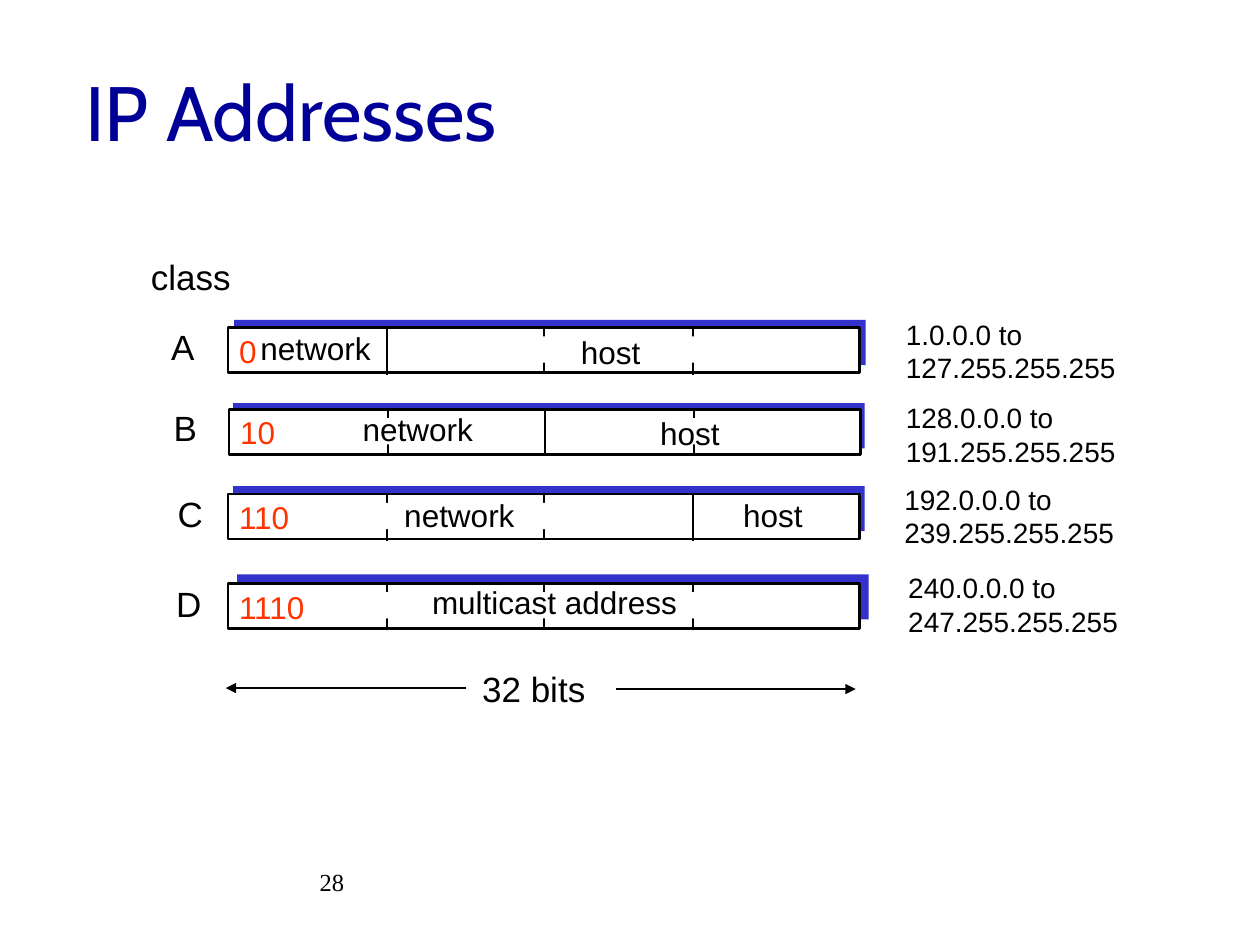
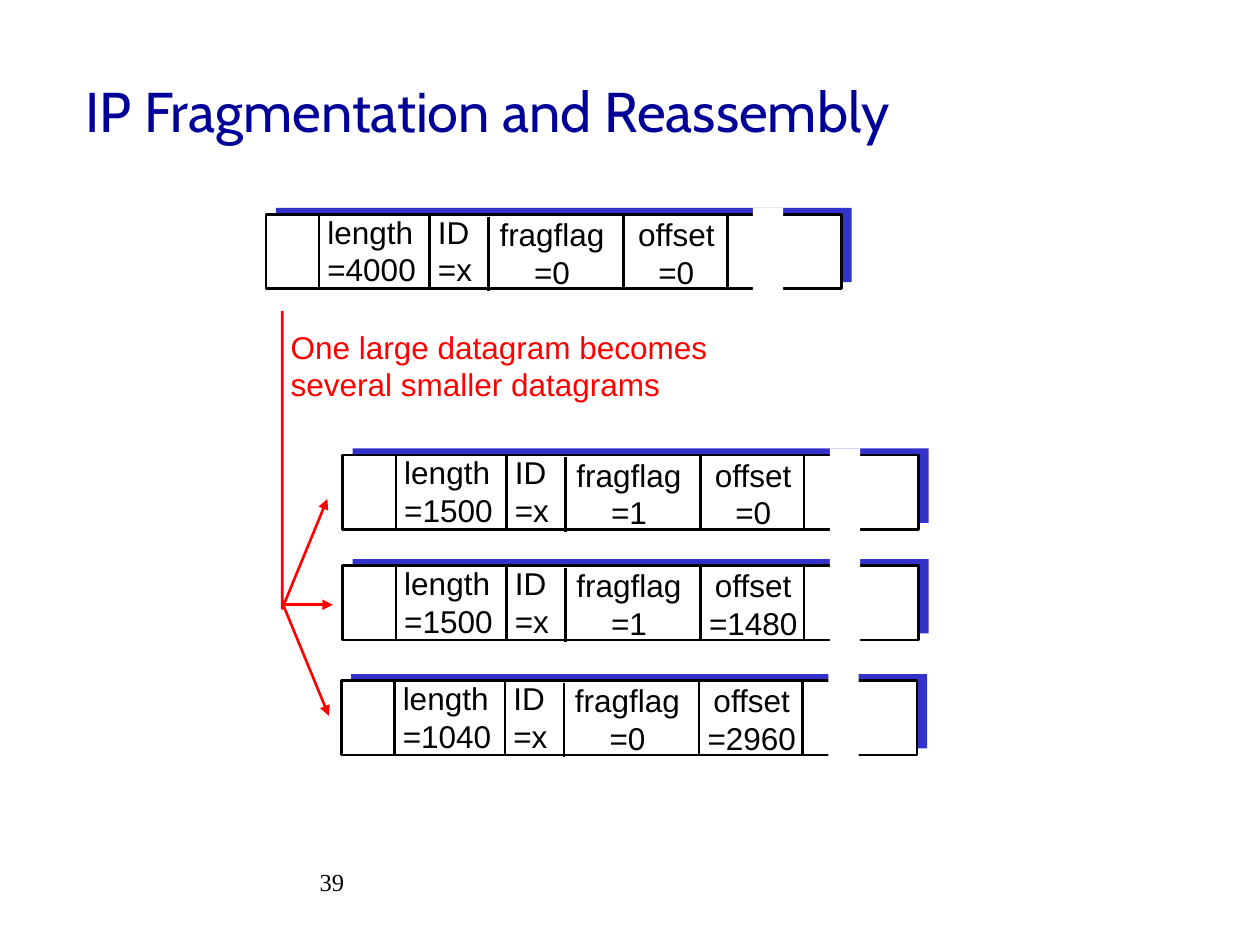
"""Build two slides on IP address classes and IP fragmentation."""
from lxml.etree import SubElement as Sub
from pptx import Presentation as Deck
from pptx.dml.color import RGBColor as Rgb
from pptx.enum.shapes import MSO_CONNECTOR as Link, MSO_SHAPE as Form
from pptx.enum.text import MSO_ANCHOR as Anchor, MSO_AUTO_SIZE as Fit, PP_ALIGN as Align
from pptx.oxml.ns import qn
from pptx.util import Cm, Pt

HUES = {"ink": "000000", "paper": "FFFFFF", "shade": "3333CC",
        "title": "000099", "bits": "FF3300", "split": "FF0000"}
TINT = {name: Rgb.from_string(code) for name, code in HUES.items()}


def box(page, at, fill=None, edge=None, rows=(), size=18, hue="ink",
        font="Arial", align=Align.LEFT, wrap=False, anchor=Anchor.TOP):
    """Draw a filled rectangle, or a text box when there is no fill."""
    place = [Cm(n) for n in at]
    if fill:
        rect = page.shapes.add_shape(Form.RECTANGLE, *place)
        rect.shadow.inherit = False
        rect.fill.solid()
        rect.fill.fore_color.rgb = TINT[fill]
        if edge:
            rect.line.color.rgb = TINT[edge]
            rect.line.width = Pt(1.5)
        else:
            rect.line.fill.background()
        return rect
    note = page.shapes.add_textbox(*place)
    frame = note.text_frame
    frame.word_wrap = wrap
    frame.auto_size = Fit.NONE if wrap else Fit.SHAPE_TO_FIT_TEXT
    frame.vertical_anchor = anchor
    for i, row in enumerate(rows):
        para = frame.add_paragraph() if i else frame.paragraphs[0]
        para.alignment = align
        run = para.add_run()
        run.text = row
        run.font.name = font
        run.font.size = Pt(size)
        run.font.color.rgb = TINT[hue]
    return note


def rule(page, spots, hue="ink", width=1.5, arrow=False):
    """Draw a straight line, or an open path through more than two spots."""
    spots = [(Cm(x), Cm(y)) for x, y in spots]
    if len(spots) == 2:
        mark = page.shapes.add_connector(Link.STRAIGHT, *spots[0], *spots[1])
    else:
        pen = page.shapes.build_freeform(*spots[0])
        pen.add_line_segments(spots[1:], close=False)
        mark = pen.convert_to_shape()
        mark.fill.background()
    mark.line.color.rgb = TINT[hue]
    mark.line.width = Pt(width)
    props = mark.element.spPr
    if arrow:
        Sub(props.find(qn("a:ln")), qn("a:tailEnd"), type="triangle")
    Sub(props, qn("a:effectLst"))
    return mark


deck = Deck()
deck.slide_width, deck.slide_height = Cm(25.4), Cm(19.05)
pages = []
for title, size, number in [("IP Addresses", 44, "28"),
                            ("IP Fragmentation and Reassembly", 32, "39")]:
    page = deck.slides.add_slide(deck.slide_layouts[6])
    box(page, (1.91, 17.35, 5.28, 1.27), rows=[number], size=14,
        font="Times New Roman", align=Align.RIGHT, wrap=True)
    box(page, (1.47, 0.64, 21.59, 3.18), rows=[title], size=size, hue="title",
        font="Cabin", wrap=True, anchor=Anchor.MIDDLE)
    pages.append(page)

page = pages[0]
WIDE, HIGH = 12.73, 0.91
classes = [
    ("A", (3.2, 6.43), (4.6, 6.6), (4.72, 6.45), "0", 0.86, 0,
     [("network", 5, 6.5, 2.74), ("host", 11.46, 6.58, 1.7)],
     (18.01, 6.27), ["1.0.0.0 to", "127.255.255.255"]),
    ("B", (3.25, 8.08), (4.62, 8.25), (4.7, 8.13), "10", 1.22, 1,
     [("network", 7.06, 8.15, 2.74), ("host", 13.06, 8.23, 1.7)],
     (18.01, 7.95), ["128.0.0.0 to", "191.255.255.255"]),
    ("C", (3.33, 9.8), (4.6, 9.96), (4.7, 9.8), "110", 1.57, 2,
     [("network", 7.9, 9.88, 2.74), ("host", 14.73, 9.88, 1.7)],
     (17.98, 9.6), ["192.0.0.0 to", "239.255.255.255"]),
    ("D", (3.3, 11.61), (4.6, 11.76), (4.78, 11.58), "1110", 1.93, None,
     [("multicast address", 8.46, 11.63, 5.46)],
     (18.06, 11.38), ["240.0.0.0 to", "247.255.255.255"]),
]
box(page, (2.79, 5.03, 2.13, 1.09), rows=["class"], size=20)
for name, spot, (x, y), shade, bits, span, solid, parts, side, hosts in classes:
    box(page, (*shade, WIDE, HIGH), "shade")
    bar = box(page, (x, y, WIDE, HIGH), "paper", "ink")
    box(page, (x - 0.03, y - 0.04, span, 1.02), rows=[bits], hue="bits")
    for i, step in enumerate((3.2, WIDE / 2, 9.37)):
        cut = rule(page, [(x + step, y), (x + step, y + 0.95)], width=0.75)
        if i == 1:
            cut.begin_connect(bar, 0)
            cut.end_connect(bar, 2)
        if i != solid:
            box(page, (x + step - 0.13, y + 0.18, 0.25, 0.53), "paper")
    for word, left, top, span in parts:
        box(page, (left, top, span, 1.02), rows=[word])
    box(page, (*spot, 1, 1.09), rows=[name], size=20)
    box(page, (*side, 4.75, 1.63), rows=hosts, size=16)
box(page, (9.47, 13.34, 2.59, 1.09), rows=["32 bits"], size=20)
rule(page, [(12.42, 13.89), (17.25, 13.89)], arrow=True)
rule(page, [(9.4, 13.87), (4.55, 13.87)], arrow=True)

page = pages[1]
WIDE, HIGH = 11.61, 1.5
grams = [
    (5.36, 4.32, "=4000", "=0", "=0"),
    (6.91, 9.17, "=1500", "=1", "=0"),
    (6.91, 11.4, "=1500", "=1", "=1480"),
    (6.88, 13.72, "=1040", "=0", "=2960"),
]
for x, y, length, flag, offset in grams:
    box(page, (x + 0.2, y - 0.13, WIDE, HIGH), "shade")
    box(page, (x, y, WIDE, HIGH), "paper", "ink")
    for field, value, left, drop, span, align in [
            ("length", length, 0.99, -0.16, 2.29, Align.LEFT),
            ("ID", "=x", 3.22, -0.16, 1.19, Align.LEFT),
            ("fragflag", flag, 4.46, -0.11, 2.62, Align.CENTER),
            ("offset", offset, 7.13, -0.11, 2.29, Align.CENTER)]:
        box(page, (x + left, y + drop, span, 1.78), rows=[field, value], align=align)
    for step, drop in [(1.07, 0), (3.3, 0), (4.49, 0.05), (7.21, 0), (9.3, 0)]:
        rule(page, [(x + step, y + drop), (x + step, y + drop + HIGH)])
    box(page, (x + 9.82, y - 0.13, 0.61, 1.68), "paper")
for spots in ([(5.69, 6.27), (5.69, 12.27), (6.6, 10.06)],
              [(5.69, 12.19), (6.71, 12.19)],
              [(5.72, 12.22), (6.63, 14.43)]):
    rule(page, spots, "split", arrow=True)
box(page, (5.61, 6.48, 8.92, 1.78), hue="split",
    rows=["One large datagram becomes", "several smaller datagrams"])

deck.save("out.pptx")
